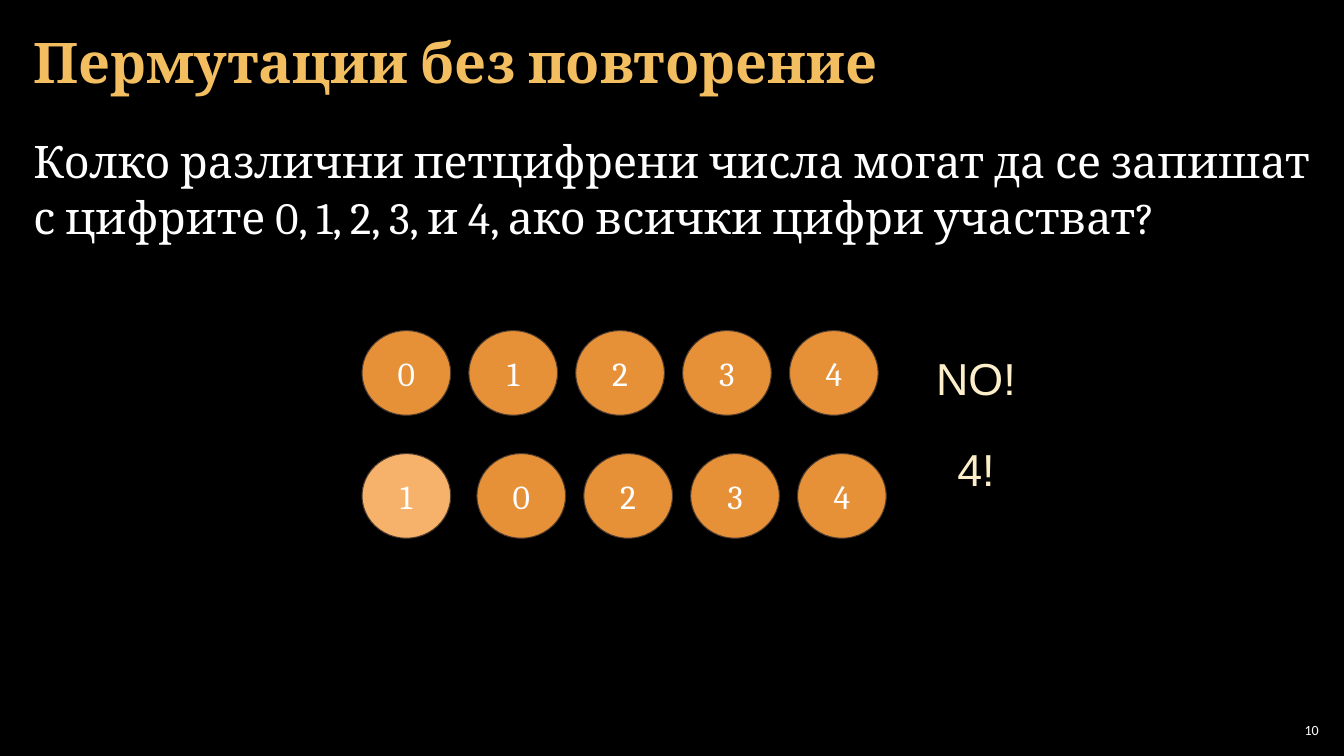
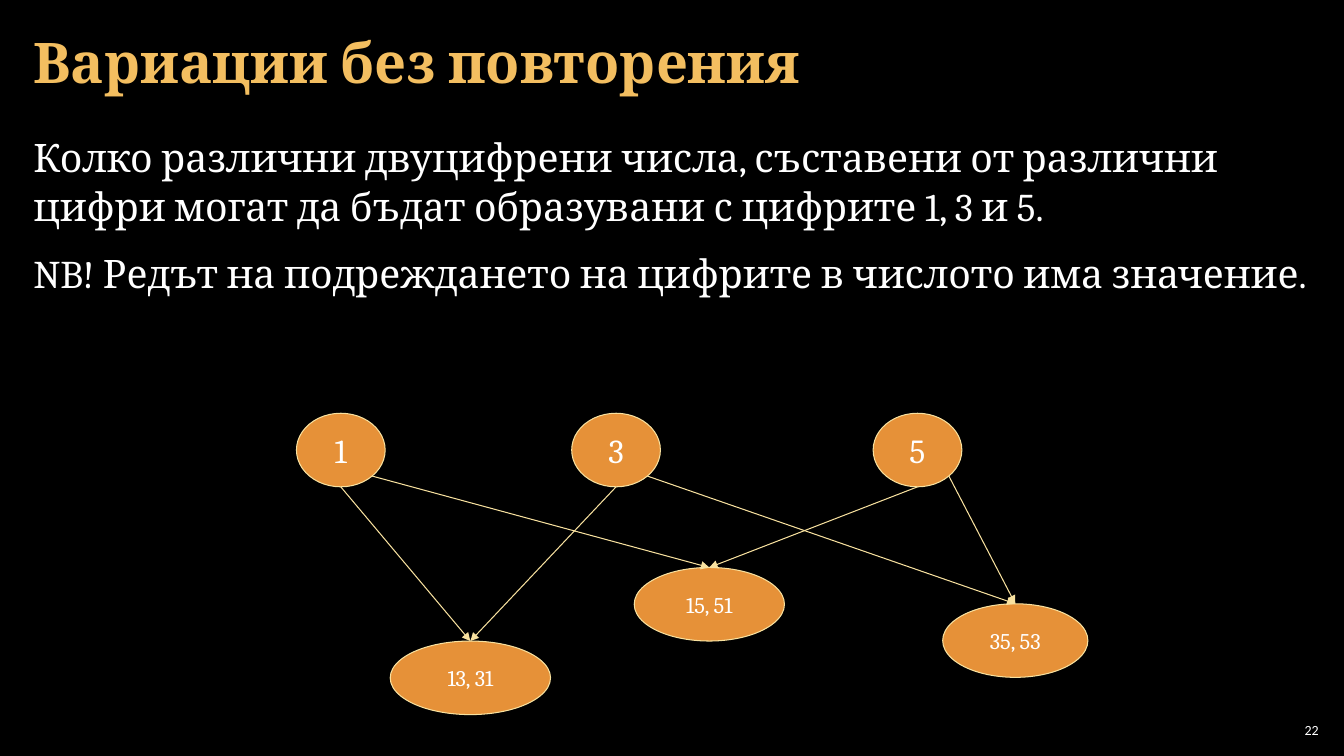
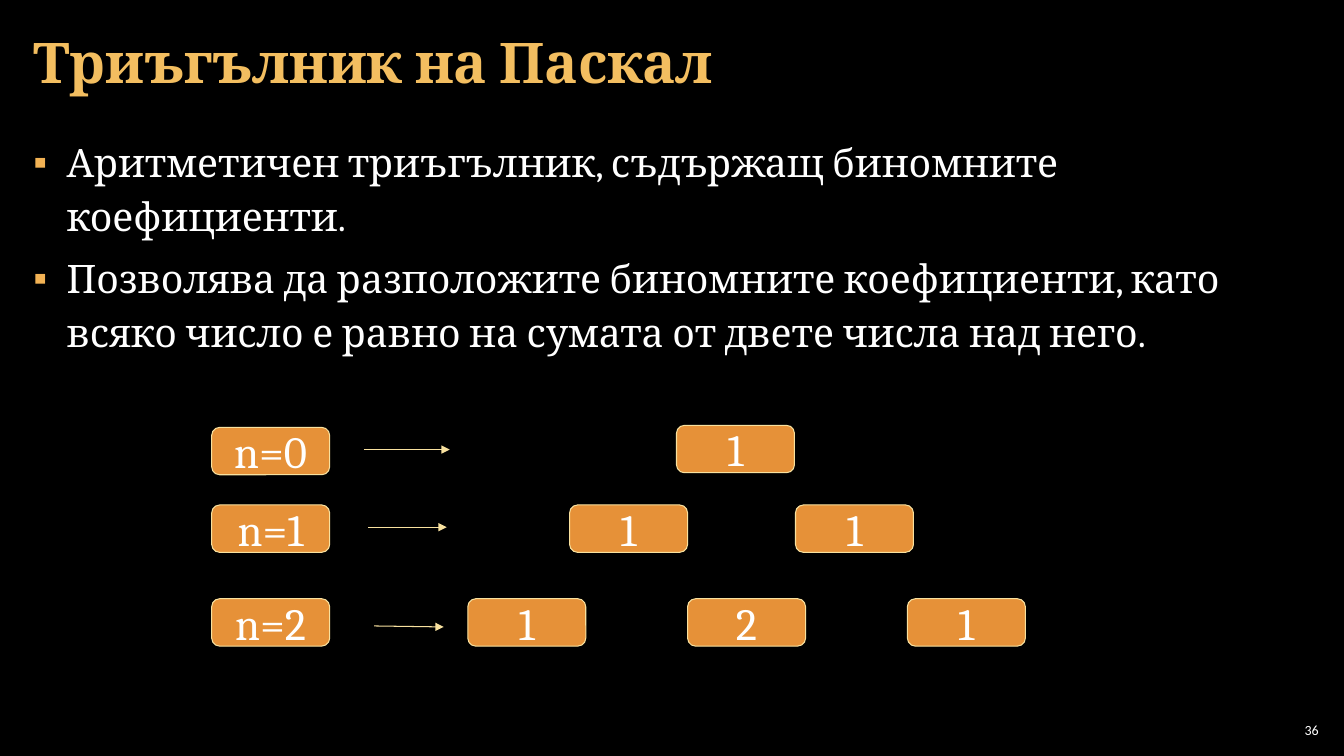
from math import sqrt

from lxml import etree
from pptx import Presentation
from pptx import util as u
from pptx.dml.color import RGBColor
from pptx.enum import shapes, text
from pptx.oxml import ns

PX = 9144
WIDTH, HEIGHT = 1333, 750

BLACK = RGBColor(0x00, 0x00, 0x00)
WHITE = RGBColor(0xFF, 0xFF, 0xFF)
GOLD = RGBColor(0xF3, 0xBE, 0x60)
BULLET_GOLD = RGBColor(0xF2, 0xB2, 0x54)
ORANGE = RGBColor(0xE6, 0x91, 0x38)
PEACH = RGBColor(0xF6, 0xB2, 0x6B)
BROWN = RGBColor(0x4E, 0x3B, 0x30)
CREAM = RGBColor(0xF8, 0xE1, 0x9F)
IVORY = RGBColor(0xFB, 0xEE, 0xC9)

LEFT, CENTER = text.PP_ALIGN.LEFT, text.PP_ALIGN.CENTER
RIGHT, JUSTIFY = text.PP_ALIGN.RIGHT, text.PP_ALIGN.JUSTIFY
TOP, MIDDLE = text.MSO_ANCHOR.TOP, text.MSO_ANCHOR.MIDDLE
OVAL = shapes.MSO_SHAPE.OVAL
ROUNDED = shapes.MSO_SHAPE.ROUNDED_RECTANGLE

TITLE_BOX = (21, 4, 1291, 121)
BODY_BOX = (21, 126, 1291, 609)
NUMBER_BOX = (1265, 714, 47, 21)


def px(length):
    return u.Emu(round(length * PX))


def apply(target, formats):
    for name, value in formats.items():
        setattr(target, name, value)


def fill_frame(frame, lines, size, color, font="Cambria", bold=False, align=LEFT,
               anchor=TOP, inset=(12, 4), spacing=1.0, before=0, after=0, bullet=None):
    side, edge = map(px, inset)
    apply(frame, {"word_wrap": True, "vertical_anchor": anchor,
                  "margin_left": side, "margin_right": side,
                  "margin_top": edge, "margin_bottom": edge})
    for index, line in enumerate(lines):
        paragraph = frame.add_paragraph() if index else frame.paragraphs[0]
        if bullet:
            add_bullet(paragraph, bullet)
        apply(paragraph, {"alignment": align, "line_spacing": spacing,
                          "space_before": u.Pt(before if index else 0),
                          "space_after": u.Pt(after)})
        run = paragraph.add_run()
        run.text = line
        apply(run.font, {"name": font, "size": u.Pt(size), "bold": bold})
        run.font.color.rgb = color


def add_bullet(paragraph, mark):
    properties = paragraph._p.get_or_add_pPr()
    properties.set("marL", str(px(33)))
    properties.set("indent", str(px(-33)))
    color = etree.SubElement(properties, ns.qn("a:buClr"))
    etree.SubElement(color, ns.qn("a:srgbClr"), val=str(BULLET_GOLD))
    etree.SubElement(properties, ns.qn("a:buFont"), typeface="Arial")
    etree.SubElement(properties, ns.qn("a:buChar"), char=mark)


def add_text(slide, box, lines, size, color, **formats):
    frame = slide.shapes.add_textbox(*map(px, box)).text_frame
    fill_frame(frame, lines, size, color, **formats)


def add_node(slide, kind, box, label, size, fill=ORANGE, outline=CREAM):
    node = slide.shapes.add_shape(kind, *map(px, box))
    node.shadow.inherit = False
    node.fill.solid()
    node.fill.fore_color.rgb = fill
    node.line.color.rgb = outline
    node.line.width = u.Pt(0.75)
    fill_frame(node.text_frame, [label], size, WHITE, align=CENTER, anchor=MIDDLE,
               inset=(13, 13))


def add_arrow(slide, start, end):
    arrow = slide.shapes.add_connector(shapes.MSO_CONNECTOR.STRAIGHT,
                                       *map(px, (*start, *end)))
    arrow.line.color.rgb = CREAM
    arrow.line.width = u.Pt(0.75)
    etree.SubElement(arrow.line._get_or_add_ln(), ns.qn("a:tailEnd"), type="triangle")
    etree.SubElement(arrow._element.spPr, ns.qn("a:effectLst"))


def start_slide(deck, title, number, body, size, **body_formats):
    slide = deck.slides.add_slide(deck.slide_layouts[6])
    add_text(slide, BODY_BOX, body, size, WHITE, after=6, **body_formats)
    add_text(slide, TITLE_BOX, [title], 40, GOLD, bold=True, anchor=MIDDLE, spacing=0.9)
    add_text(slide, NUMBER_BOX, [str(number)], 10, WHITE, font="Calibri",
             align=RIGHT, anchor=MIDDLE, inset=(4, 4))
    return slide


def draw_digit_row(slide, left, top, digits):
    for index, digit in enumerate(digits):
        add_node(slide, OVAL, (left + 106 * index, top, 88, 84), digit, 24,
                 outline=BROWN)


def draw_permutations(slide, left, top):
    draw_digit_row(slide, left, top, "01234")
    add_node(slide, OVAL, (left, top + 122, 88, 84), "1", 24, PEACH, BROWN)
    draw_digit_row(slide, left + 114, top + 122, "0234")
    for verdict, offset in (("NO!", 15), ("4!", 105)):
        add_text(slide, (left + 558, top + offset, 102, 52), [verdict], 32, IVORY,
                 font="Arial", align=CENTER, inset=(0, 5))


def draw_variations(slide, left, top):
    digits = {"1": 0, "3": 273, "5": 572}
    pairs = {"13, 31": (93, 226, 159), "15, 51": (335, 153, 149), "35, 53": (641, 189, 144)}
    width, height = 88, 73
    diagonal = 1 / sqrt(8)
    for digit, x in digits.items():
        add_node(slide, OVAL, (left + x, top, width, height), digit, 24)
    for pair, (x, y, pair_width) in pairs.items():
        add_node(slide, OVAL, (left + x, top + y, pair_width, height), pair, 16)

    def bottom(digit):
        return left + digits[digit] + width / 2, top + height

    def lower_right(digit):
        return (left + digits[digit] + width * (0.5 + diagonal),
                top + height * (0.5 + diagonal))

    for pair, starts in (("13, 31", (bottom("1"), bottom("3"))),
                         ("15, 51", (lower_right("1"), bottom("5"))),
                         ("35, 53", (lower_right("3"), lower_right("5")))):
        x, y, pair_width = pairs[pair]
        for start in starts:
            add_arrow(slide, start, (left + x + pair_width / 2, top + y))


def draw_pascal_triangle(slide, left, top):
    rows = (
        (2, 0, 461, 0, "1", (151, 24), (236, 24)),
        (79, 79, 355, 224, "11", (155, 101), (233, 101)),
        (172, 172, 254, 218, "121", (161, 199), (230, 200)),
    )
    for n, (label_y, cell_y, first, step, values, start, end) in enumerate(rows):
        add_node(slide, ROUNDED, (left, top + label_y, 117, 47), f"n={n}", 32)
        for index, value in enumerate(values):
            add_node(slide, ROUNDED,
                     (left + first + step * index, top + cell_y, 117, 47), value, 32)
        add_arrow(slide, *((left + x, top + y) for x, y in (start, end)))


def main():
    deck = Presentation()
    apply(deck, {"slide_width": px(WIDTH), "slide_height": px(HEIGHT)})
    backdrop = deck.slide_master.background.fill
    backdrop.solid()
    backdrop.fore_color.rgb = BLACK

    permutations = start_slide(
        deck, "Пермутации без повторение", 10,
        ["Колко различни петцифрени числа могат да се запишат с цифрите "
         "0, 1, 2, 3, и 4, ако всички цифри участват?"],
        32, align=JUSTIFY, spacing=1.05)
    draw_permutations(permutations, 359, 328)

    variations = start_slide(
        deck, "Вариации без повторения", 22,
        ["Колко различни двуцифрени числа, съставени от различни цифри могат "
         "да бъдат образувани с цифрите 1, 3 и 5.",
         "NB! Редът на подреждането на цифрите в числото има значение."],
        28, spacing=1.05, before=6)
    draw_variations(variations, 294, 410)

    pascal = start_slide(
        deck, "Триъгълник на Паскал", 36,
        ["Аритметичен триъгълник, съдържащ биномните коефициенти.",
         "Позволява да разположите биномните коефициенти, като всяко число "
         "е равно на сумата от двете числа над него."],
        28, spacing=1.15, bullet="▪")
    draw_pascal_triangle(pascal, 210, 422)

    deck.save("out.pptx")


if __name__ == "__main__":
    main()
